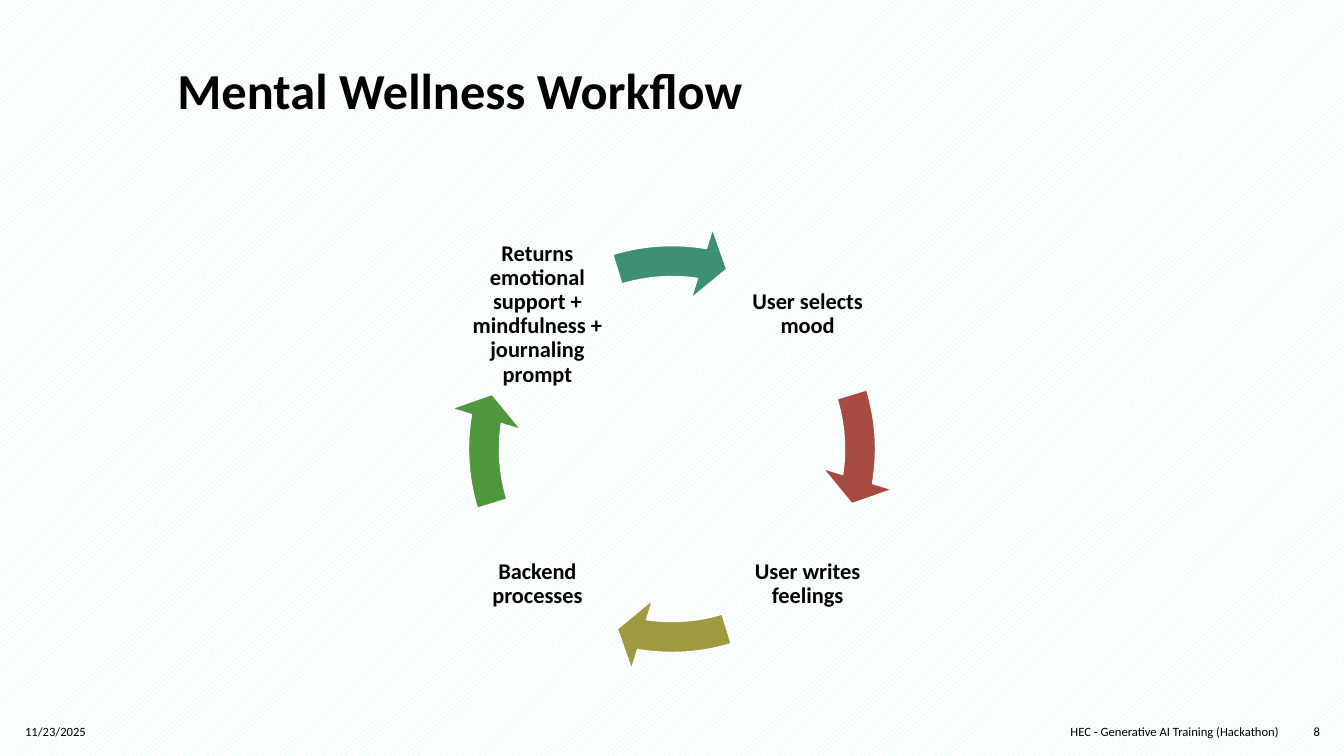
from dataclasses import dataclass

from pptx import Presentation
from pptx.dml.color import RGBColor
from pptx.enum.dml import MSO_PATTERN
from pptx.enum.shapes import MSO_SHAPE
from pptx.enum.text import MSO_ANCHOR as Anchor, MSO_AUTO_SIZE as AutoSize, PP_ALIGN as Align
from pptx.util import Inches, Pt


@dataclass(frozen=True)
class Theme:
    font: str = "Calibri"
    text: str = "000000"
    paper: str = "FFFFFF"
    stripe: str = "C5F7F6"
    title_pt: int = 36
    step_pt: int = 16
    footer_pt: int = 9


@dataclass(frozen=True)
class Step:
    text: str
    left: float
    top: float
    arrow_color: str


@dataclass(frozen=True)
class Footer:
    text: str
    left: float
    width: float
    align: Align


THEME = Theme()
LEFT_COL, RIGHT_COL = 4.54, 7.22
TOP_ROW, BOTTOM_ROW = 2.33, 5.01
STEP_SIZE = 1.58
STEP_INSET = 0.02
RING = (4.44, 2.23, 4.45, 4.45)
QUARTER_TURN, FULL_TURN = 54, 216
FOOTER_TOP, FOOTER_HEIGHT = 7.06, 0.4

STEPS = [
    Step("User selects mood", RIGHT_COL, TOP_ROW, "A74B40"),
    Step("User writes feelings", RIGHT_COL, BOTTOM_ROW, "9F9A3F"),
    Step("Backend processes", LEFT_COL, BOTTOM_ROW, "50983E"),
    Step("Returns emotional support + mindfulness + journaling prompt",
         LEFT_COL, TOP_ROW, "3D9072"),
]
FOOTERS = [
    Footer("11/23/2025", 0.15, 3.82, Align.LEFT),
    Footer("HEC - Generative AI Training (Hackathon)", 9.71, 3.07, Align.RIGHT),
    Footer("8", 12.72, 0.47, Align.RIGHT),
]


def rgb(value: str) -> RGBColor:
    return RGBColor.from_string(value)


def apply(target, formats: dict) -> None:
    for name, value in formats.items():
        setattr(target, name, value)


def write(sp, text: str, size: int, bold: bool, align: Align,
          anchor: Anchor, spacing: float = 1.0, inset: float | None = None) -> None:
    tf = sp.text_frame
    apply(tf, {"word_wrap": True, "auto_size": AutoSize.NONE, "vertical_anchor": anchor})
    if inset is not None:
        sides = ("left", "top", "right", "bottom")
        apply(tf, {f"margin_{side}": Inches(inset) for side in sides})
    p = tf.paragraphs[0]
    apply(p, {"alignment": align, "line_spacing": spacing})
    r = p.add_run()
    r.text = text
    apply(r.font, {"name": THEME.font, "size": Pt(size), "bold": bold})
    r.font.color.rgb = rgb(THEME.text)


def draw_title(slide, text: str) -> None:
    sp = slide.shapes.title
    apply(sp, {"left": Inches(1.66), "top": Inches(0.6),
               "width": Inches(10.02), "height": Inches(1.24)})
    write(sp, text, THEME.title_pt, True, Align.LEFT, Anchor.TOP, 0.9)


def draw_step(shapes, step: Step, index: int) -> None:
    sp = shapes.add_textbox(Inches(step.left), Inches(step.top),
                            Inches(STEP_SIZE), Inches(STEP_SIZE))
    write(sp, step.text, THEME.step_pt, True, Align.CENTER, Anchor.MIDDLE, 0.9, STEP_INSET)

    arrow = shapes.add_shape(MSO_SHAPE.CIRCULAR_ARROW, *map(Inches, RING))
    turn = index * QUARTER_TURN
    adjustments = (0.069, 4.653, 5.5 + turn, (205.85 + turn) % FULL_TURN, 0.081)
    for i, value in enumerate(adjustments):
        arrow.adjustments[i] = value
    arrow.shadow.inherit = False
    arrow.fill.solid()
    arrow.fill.fore_color.rgb = rgb(step.arrow_color)
    arrow.line.color.rgb = rgb(THEME.paper)
    arrow.line.width = Pt(1)


def draw_footer(shapes, footer: Footer) -> None:
    sp = shapes.add_textbox(Inches(footer.left), Inches(FOOTER_TOP),
                            Inches(footer.width), Inches(FOOTER_HEIGHT))
    write(sp, footer.text, THEME.footer_pt, False, footer.align, Anchor.MIDDLE)


def main() -> None:
    prs = Presentation()
    apply(prs, {"slide_width": Inches(13.33), "slide_height": Inches(7.5)})
    slide = prs.slides.add_slide(prs.slide_layouts.get_by_name("Title Only"))

    fill = slide.background.fill
    fill.patterned()
    fill.pattern = MSO_PATTERN.WIDE_UPWARD_DIAGONAL
    fill.fore_color.rgb = rgb(THEME.stripe)
    fill.back_color.rgb = rgb(THEME.paper)

    draw_title(slide, "Mental Wellness Workflow")
    cycle = slide.shapes.add_group_shape()
    for index, step in enumerate(STEPS):
        draw_step(cycle.shapes, step, index)
    for footer in FOOTERS:
        draw_footer(slide.shapes, footer)
    prs.save("out.pptx")


if __name__ == "__main__":
    main()
